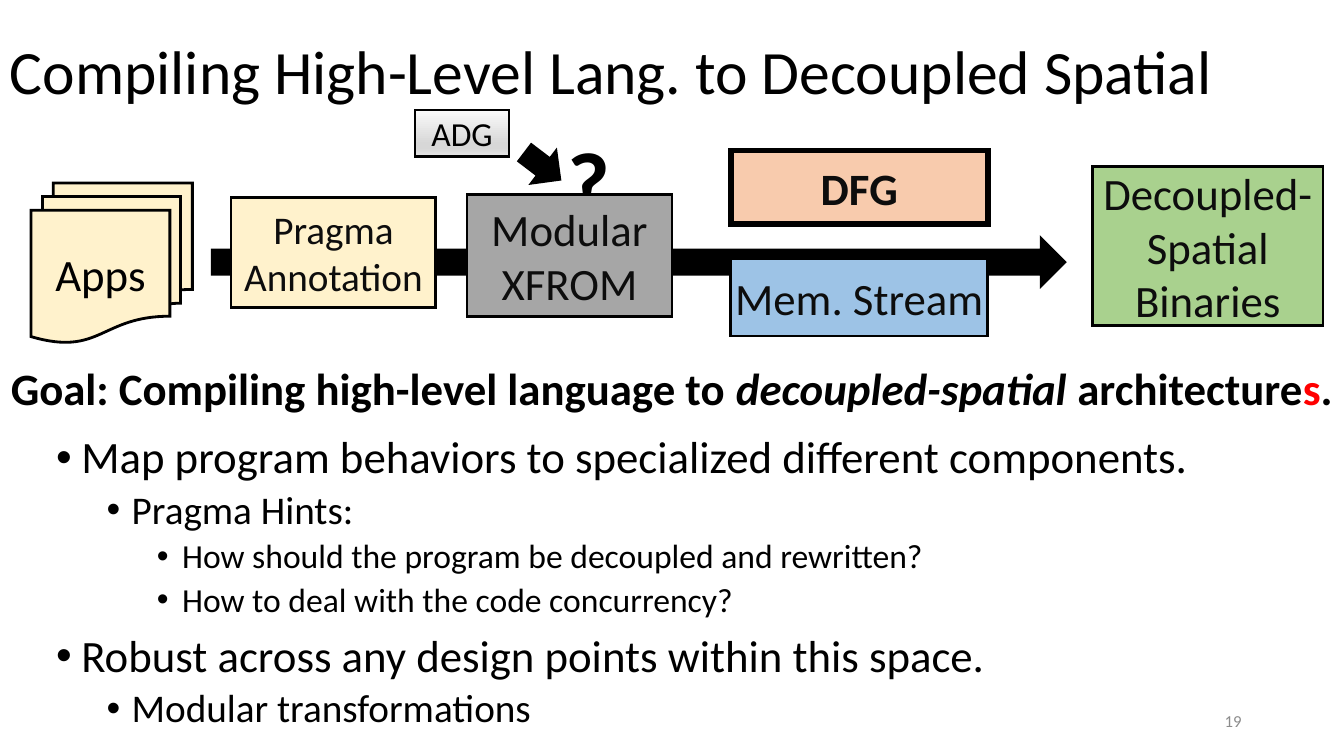
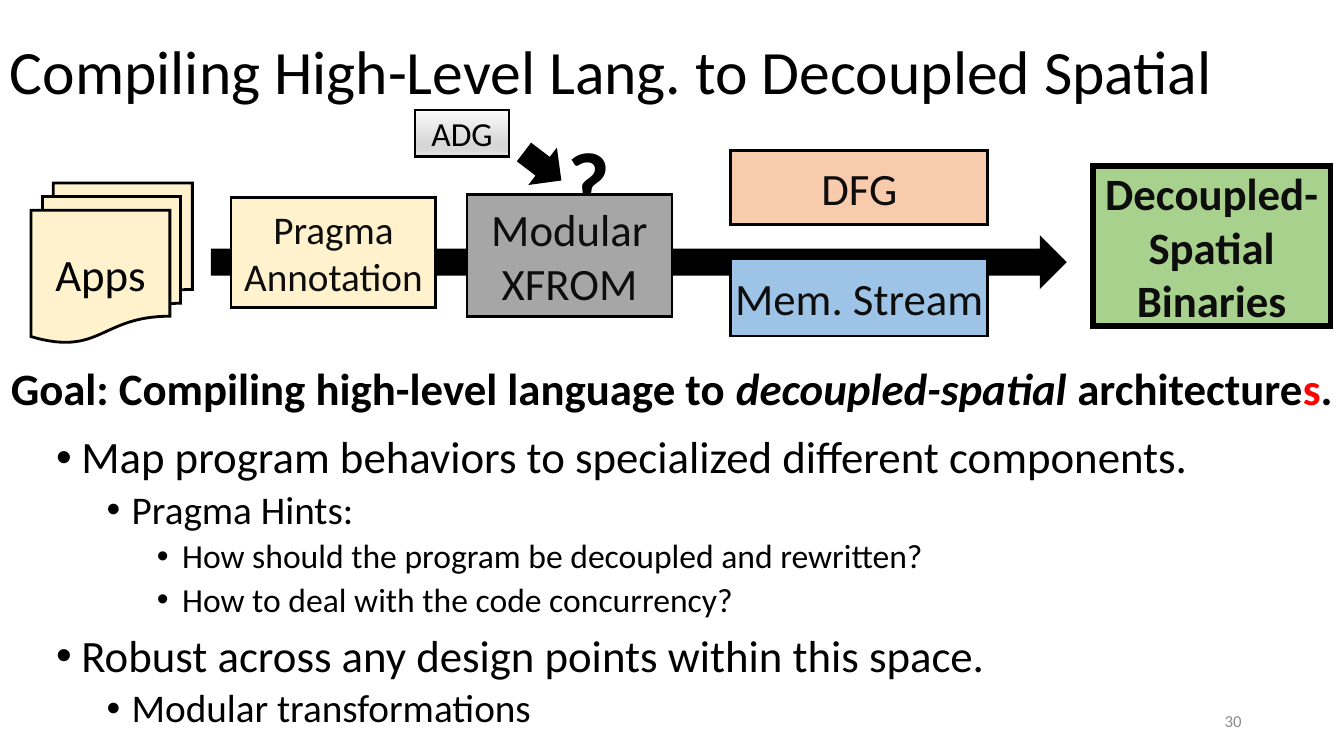
from dataclasses import dataclass, replace

from lxml import etree
from pptx import Presentation
from pptx.dml.color import RGBColor
from pptx.enum.shapes import MSO_SHAPE
from pptx.enum.text import MSO_ANCHOR, PP_ALIGN
from pptx.oxml.ns import qn
from pptx.util import Inches, Pt

RECTANGLE = MSO_SHAPE.RECTANGLE
RIGHT_ARROW = MSO_SHAPE.RIGHT_ARROW
DOCUMENTS = MSO_SHAPE.FLOWCHART_MULTIDOCUMENT
TOP, MIDDLE = MSO_ANCHOR.TOP, MSO_ANCHOR.MIDDLE
LEFT, CENTER, RIGHT = PP_ALIGN.LEFT, PP_ALIGN.CENTER, PP_ALIGN.RIGHT

FONT = "Calibri"
BLACK, INK, RED, GREY = "000000", "0D0D0D", "FF0000", "8C8C8C"
CREAM = "FFF2CC"
COLUMNS, ROWS = 160, 90
SLIDE_WIDTH, SLIDE_HEIGHT = Inches(13.33), Inches(7.5)
THIN, THICK = 2, 4
ADG_STOPS = ((0, "FAFAFA"), (74, "D7D7D7"), (83, "D7D7D7"), (100, "E4E4E4"))


@dataclass(frozen=True)
class Area:
    """A rectangle in grid columns and rows."""
    column: float
    row: float
    columns: float
    rows: float


@dataclass(frozen=True)
class Span:
    text: str
    size: float = 32
    color: str = BLACK
    bold: bool = False
    italic: bool = False


@dataclass(frozen=True)
class Stage:
    area: Area
    label: Span
    fill: str
    preset: int = RECTANGLE
    wrap: bool = True
    grows: float = 0


@dataclass(frozen=True)
class Level:
    size: float
    indent: float
    space_before: float


@dataclass(frozen=True)
class Page:
    number: int
    emphasised: str


TITLE = "Compiling High-Level Lang. to Decoupled Spatial"
GOAL = (
    Span("Goal: Compiling high-level language to ", bold=True),
    Span("decoupled-spatial", bold=True, italic=True),
    Span(" architecture", bold=True),
    Span("s", color=RED, bold=True),
    Span(".", bold=True),
)
LEVELS = (Level(32, 0.25, 10), Level(28, 0.75, 5), Level(24, 1.25, 5))
BULLETS = (
    (0, "Map program behaviors to specialized different components."),
    (1, "Pragma Hints:"),
    (2, "How should the program be decoupled and rewritten?"),
    (2, "How to deal with the code concurrency?"),
    (0, "Robust across any design points within this space."),
    (1, "Modular transformations"),
)
ENDS = (
    Stage(Area(130.1, 19.8, 27.4, 19), Span("Decoupled-Spatial Binaries", color=INK),
          "A9D18E", grows=0.9),
    Stage(Area(3.7, 21.8, 19.2, 19), Span("Apps"), CREAM, DOCUMENTS),
)
STEPS = (
    Stage(Area(27.5, 23.5, 24.4, 13.1), Span("Pragma Annotation", 28, INK), CREAM),
    Stage(Area(87, 17.9, 30.6, 8.8), Span("DFG", color=INK), "F8CBAD"),
    Stage(Area(55.6, 23.2, 24.4, 14.5), Span("Modular XFROM", color=INK), "A6A6A6"),
    Stage(Area(87, 30.8, 30.6, 9.2), Span("Mem. Stream", color=INK), "9DC3E6", wrap=False),
)
ADG = Stage(Area(49.4, 13.1, 11.2, 5.5), Span("ADG", 24), "FAFAFA")
PAGES = (Page(19, "DFG"), Page(30, "Decoupled-Spatial Binaries"))


def rgb(value: str) -> RGBColor:
    return RGBColor.from_string(value)


def place(area: Area) -> tuple[int, int, int, int]:
    """Turn grid cells into slide lengths."""
    across, down = SLIDE_WIDTH / COLUMNS, SLIDE_HEIGHT / ROWS
    return (round(area.column * across), round(area.row * down),
            round(area.columns * across), round(area.rows * down))


def add_span(para, span: Span) -> None:
    run = para.add_run()
    run.text = span.text
    font = run.font
    font.name, font.size = FONT, Pt(span.size)
    font.bold, font.italic = span.bold, span.italic
    font.color.rgb = rgb(span.color)


def add_text(slide, area: Area, spans: tuple[Span, ...], anchor=TOP, align=LEFT,
             line_spacing: float = 1) -> None:
    frame = slide.shapes.add_textbox(*place(area)).text_frame
    frame.word_wrap = True
    frame.vertical_anchor = anchor
    para = frame.paragraphs[0]
    para.alignment, para.line_spacing = align, line_spacing
    for span in spans:
        add_span(para, span)


def add_bullets(slide, area: Area) -> None:
    frame = slide.shapes.add_textbox(*place(area)).text_frame
    frame.word_wrap = True
    for index, (depth, text) in enumerate(BULLETS):
        para = frame.add_paragraph() if index else frame.paragraphs[0]
        level = LEVELS[depth]
        para.level, para.line_spacing = depth, 0.9
        para.space_before = Pt(level.space_before)
        properties = para._p.get_or_add_pPr()
        properties.set("marL", str(Inches(level.indent)))
        properties.set("indent", str(-Inches(0.25)))
        etree.SubElement(properties, qn("a:buFont")).set("typeface", "Arial")
        etree.SubElement(properties, qn("a:buChar")).set("char", "•")
        add_span(para, Span(text, level.size))


def add_preset(slide, preset: int, area: Area, fill: str):
    shape = slide.shapes.add_shape(preset, *place(area))
    shape.shadow.inherit = False
    shape.fill.solid()
    shape.fill.fore_color.rgb = rgb(fill)
    shape.line.fill.background()
    return shape


def add_stage(slide, stage: Stage, emphasised: str):
    strong = stage.label.text == emphasised
    area = stage.area
    if strong:
        area = replace(area, columns=area.columns + stage.grows)
    shape = add_preset(slide, stage.preset, area, stage.fill)
    shape.line.color.rgb = rgb(BLACK)
    shape.line.width = Pt(THICK if strong else THIN)
    outline = shape._element.spPr.find(qn("a:ln"))
    etree.SubElement(outline, qn("a:miter")).set("lim", "800000")
    frame = shape.text_frame
    frame.word_wrap = stage.wrap
    frame.vertical_anchor = MIDDLE
    para = frame.paragraphs[0]
    para.alignment = CENTER
    add_span(para, replace(stage.label, bold=strong))
    return shape


def shade_downwards(shape, stops: tuple[tuple[int, str], ...]) -> None:
    shape.fill.gradient()
    shape.fill.gradient_angle = 270
    stop_list = shape._element.spPr.find(qn("a:gradFill")).find(qn("a:gsLst"))
    for old_stop in list(stop_list):
        stop_list.remove(old_stop)
    for percent, color in stops:
        stop = etree.SubElement(stop_list, qn("a:gs"))
        stop.set("pos", str(percent * 1000))
        etree.SubElement(stop, qn("a:srgbClr")).set("val", color)


def add_pipeline(slide, emphasised: str) -> None:
    """Draw the flow; later parts cover earlier ones."""
    for stage in ENDS:
        add_stage(slide, stage, emphasised)
    add_text(slide, Area(66.4, 14.3, 9.6, 14.5), (Span("?", 66, bold=True),))
    add_text(slide, Area(0.1, 42.4, 160.2, 7.7), GOAL)
    add_preset(slide, RIGHT_ARROW, Area(25.1, 28, 101.9, 6.4), BLACK)
    for stage in STEPS:
        add_stage(slide, stage, emphasised)
    shade_downwards(add_stage(slide, ADG, emphasised), ADG_STOPS)
    pointer = add_preset(slide, RIGHT_ARROW, Area(61.8, 17, 5.6, 5.6), BLACK)
    pointer.rotation = 37.3


def add_page(deck, page: Page) -> None:
    slide = deck.slides.add_slide(deck.slide_layouts[6])
    add_text(slide, Area(0, 0.2, 146.3, 17.4), (Span(TITLE, 44),), MIDDLE, line_spacing=0.9)
    add_bullets(slide, Area(5.5, 51.2, 149, 38.8))
    add_pipeline(slide, page.emphasised)
    add_text(slide, Area(113, 83.4, 36, 4.8), (Span(str(page.number), 12, GREY),),
             MIDDLE, RIGHT)


def main() -> None:
    deck = Presentation()
    deck.slide_width, deck.slide_height = SLIDE_WIDTH, SLIDE_HEIGHT
    for page in PAGES:
        add_page(deck, page)
    deck.save("out.pptx")


if __name__ == "__main__":
    main()
